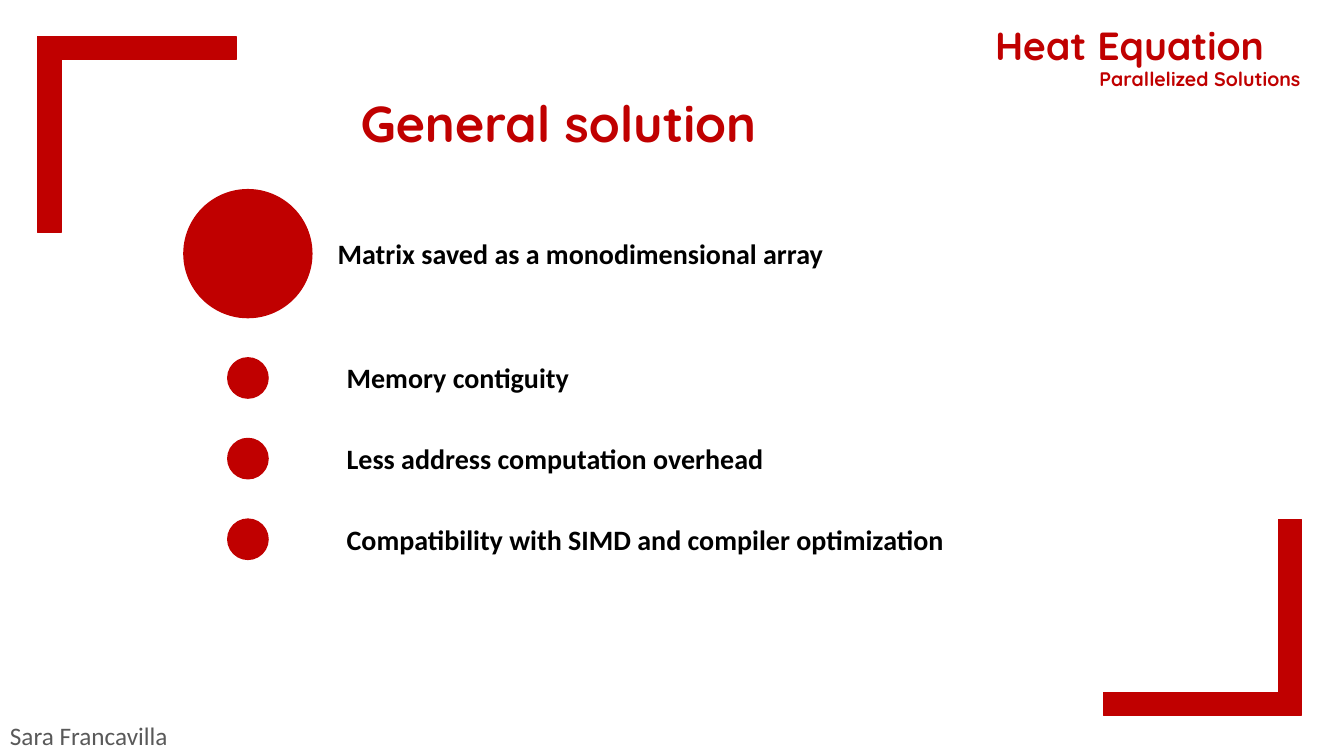
from pptx import Presentation
from pptx.dml.color import RGBColor
from pptx.enum.shapes import MSO_SHAPE
from pptx.enum.text import PP_ALIGN
from pptx.util import Pt

COLORS = {"red": "C00000", "black": "000000", "gray": "595959", "white": "FFFFFF"}
HEADLINE = "Matrix saved as a monodimensional array"
BENEFITS = [
    ("Memory contiguity", 178),
    ("Less address computation overhead", 321),
    ("Compatibility with SIMD and compiler optimization", 445),
]
BAR_LENGTH, BAR_WIDTH = 139.7, 16.6
CORNER_BARS = [
    (28.8, 25.9, BAR_LENGTH, BAR_WIDTH),
    (27, 26.3, BAR_WIDTH, BAR_LENGTH),
    (913.3, 371.2, BAR_WIDTH, BAR_LENGTH),
    (788.4, 494.6, BAR_LENGTH, BAR_WIDTH),
]
DOT_CENTER = 177.1
HEADLINE_CENTER, FIRST_BENEFIT_CENTER, BENEFIT_PITCH = 181.2, 270, 57.6
LINE_HEIGHT = 31.5

deck = Presentation()
deck.slide_width, deck.slide_height = Pt(960), Pt(540)
page = deck.slides.add_slide(deck.slide_layouts[6])
page.background.fill.solid()
page.background.fill.fore_color.rgb = RGBColor.from_string(COLORS["white"])


def add_red_shape(kind, left, top, width, height):
    shape = page.shapes.add_shape(kind, Pt(left), Pt(top), Pt(width), Pt(height))
    shape.shadow.inherit = False
    shape.fill.solid()
    shape.fill.fore_color.rgb = RGBColor.from_string(COLORS["red"])
    shape.line.color.rgb = RGBColor.from_string(COLORS["red"])
    shape.line.width = Pt(1)


def add_text(text, left, top, width, height, size=20, font="Calibri",
             color="black", bold=True, align=PP_ALIGN.LEFT):
    box = page.shapes.add_textbox(Pt(left), Pt(top), Pt(width), Pt(height))
    box.text_frame.word_wrap = True
    para = box.text_frame.paragraphs[0]
    para.alignment = align
    span = para.add_run()
    span.text = text
    span.font.name = font
    span.font.size = Pt(size)
    span.font.bold = bold
    span.font.color.rgb = RGBColor.from_string(COLORS[color])


def add_point(text, center, diameter, text_left, text_width):
    add_red_shape(MSO_SHAPE.OVAL, DOT_CENTER - diameter / 2, center - diameter / 2,
                  diameter, diameter)
    add_text(text, text_left, center - LINE_HEIGHT / 2, text_width, LINE_HEIGHT)


for bar in CORNER_BARS:
    add_red_shape(MSO_SHAPE.RECTANGLE, *bar)

add_text("Sara Francavilla", 0, 511.2, 132, 29, size=18, color="gray", bold=False)
add_text("Heat Equation", 671.8, 11.5, 270, 41, size=28, font="Quicksand",
         color="red", align=PP_ALIGN.CENTER)
add_text("Parallelized Solutions", 754.6, 44.6, 205.2, 24.5, size=14, font="Quicksand",
         color="red", align=PP_ALIGN.CENTER)
add_text("General solution", 250.6, 62.6, 501, 51, size=36, font="Quicksand", color="red")

add_point(HEADLINE, HEADLINE_CENTER, 91.4, 234, 389.5)
for index, (benefit, width) in enumerate(BENEFITS):
    add_point(benefit, FIRST_BENEFIT_CENTER + index * BENEFIT_PITCH, 28.8, 240.5, width)

deck.save("out.pptx")
